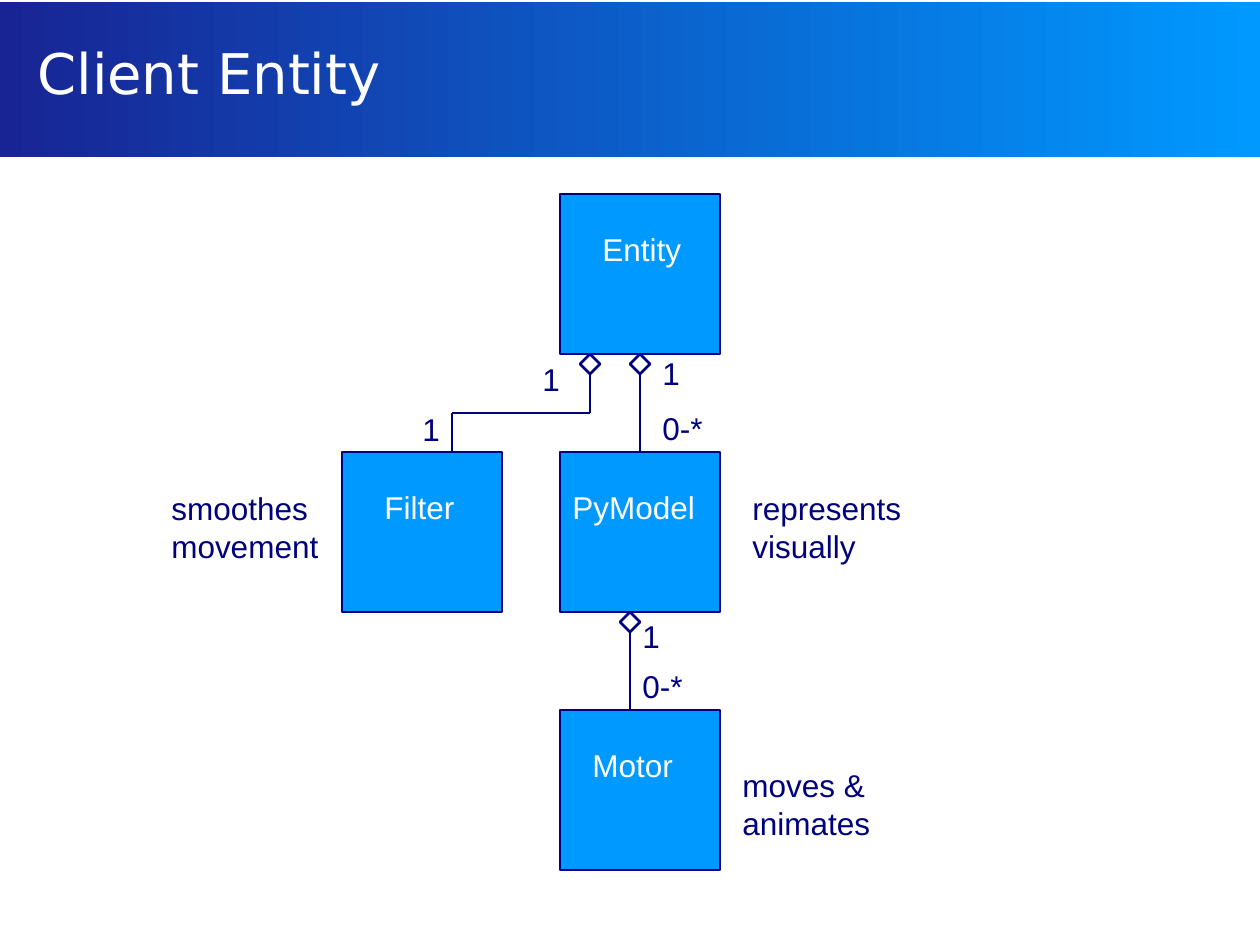
from itertools import pairwise

from lxml.etree import SubElement
from pptx import Presentation
from pptx.dml.color import RGBColor
from pptx.enum.shapes import MSO_CONNECTOR as Connector, MSO_SHAPE as Shape
from pptx.enum.text import MSO_ANCHOR as Anchor, MSO_AUTO_SIZE as AutoSize
from pptx.oxml.ns import qn
from pptx.util import Emu, Pt

EMU_PER_PX = 914400 / 126
BOX_SIZE = 160
DIAMOND_SIZE = 20
COLORS = {
    "white": "FFFFFF",
    "box": "0099FF",
    "band_dark": "182494",
    "line": "000080",
    "label": "00007D",
}


def px(length):
    return Emu(round(length * EMU_PER_PX))


def color(name):
    return RGBColor.from_string(COLORS[name])


def add_band(page):
    band = page.shapes.add_shape(Shape.RECTANGLE, px(0), px(2), px(1260), px(155))
    band.shadow.inherit = False
    band.line.fill.background()
    band.fill.gradient()
    band.fill.gradient_angle = 0
    for stop, name in zip(band.fill.gradient_stops, ("band_dark", "box")):
        stop.color.rgb = color(name)


def add_text(page, text, left, top, width, height, ink="label", size=18, font="Arial"):
    box = page.shapes.add_textbox(px(left), px(top), px(width), px(height))
    frame = box.text_frame
    frame.word_wrap = True
    frame.text = text
    span = frame.paragraphs[0].runs[0]
    span.font.size = Pt(size)
    span.font.name = font
    span.font.color.rgb = color(ink)
    return frame


def add_title(page, text):
    frame = add_text(page, text, 25, 0, 1206, 145, "white", 32, "DejaVu Sans")
    frame.vertical_anchor = Anchor.MIDDLE
    frame.margin_top = px(5)


def add_label(page, text, left, top, width, height=50, ink="label"):
    frame = add_text(page, text, left, top, width, height, ink)
    frame.auto_size = AutoSize.SHAPE_TO_FIT_TEXT


def add_outline(page, kind, left, top, size, weight):
    shape = page.shapes.add_shape(kind, px(left), px(top), px(size), px(size))
    shape.shadow.inherit = False
    shape.line.color.rgb = color("line")
    shape.line.width = Pt(weight)
    return shape


def add_class_box(page, name, left, top, indent):
    box = add_outline(page, Shape.RECTANGLE, left, top, BOX_SIZE, 0.75)
    box.fill.solid()
    box.fill.fore_color.rgb = color("box")
    add_label(page, name, left + indent, top + 30, 169, ink="white")
    return box


def add_diamond(page, center, top):
    diamond = add_outline(
        page, Shape.DIAMOND, center - DIAMOND_SIZE // 2, top, DIAMOND_SIZE, 1.5
    )
    diamond.fill.background()
    return diamond


def add_path(page, *points):
    lines = []
    for start, end in pairwise(points):
        line = page.shapes.add_connector(
            Connector.STRAIGHT, *(px(value) for value in start + end)
        )
        line.line.color.rgb = color("line")
        line.line.width = Pt(1.5)
        SubElement(line._element.spPr, qn("a:effectLst"))
        lines.append(line)
    return lines


def main():
    """Build the client entity class diagram."""
    deck = Presentation()
    deck.slide_width, deck.slide_height = px(1260), px(945)
    page = deck.slides.add_slide(deck.slide_layouts[6])

    add_band(page)
    add_title(page, "Client Entity")

    left_column, main_column = 342, 560
    first_row, second_row, third_row = (194 + 258 * row for row in range(3))
    add_class_box(page, "Entity", main_column, first_row, 30)
    model = add_class_box(page, "PyModel", main_column, second_row, 0)
    add_class_box(page, "Filter", left_column, second_row, 30)
    add_class_box(page, "Motor", main_column, third_row, 20)

    entity_bottom = first_row + BOX_SIZE
    model_bottom = second_row + BOX_SIZE
    add_diamond(page, 590, entity_bottom)
    add_diamond(page, 640, entity_bottom)
    add_diamond(page, 630, model_bottom)

    entity_start = entity_bottom + DIAMOND_SIZE
    [model_line] = add_path(page, (640, entity_start), (640, second_row))
    model_line.end_connect(model, 0)
    add_path(page, (590, entity_start), (590, 413), (452, 413), (452, second_row))
    add_path(page, (630, model_bottom + DIAMOND_SIZE), (630, third_row))

    for text, left, top, width in (
        ("represents visually", 740, 483, 208),
        ("smoothes movement", 159, 483, 179),
        ("moves & animates", 730, 760, 238),
    ):
        add_label(page, text, left, top, width, 88)

    for text, left, top in (
        ("1", 530, 354),
        ("1", 410, 404),
        ("1", 650, 348),
        ("0-*", 650, 403),
        ("1", 630, 611),
        ("0-*", 630, 661),
    ):
        add_label(page, text, left, top, 110)

    deck.save("out.pptx")


if __name__ == "__main__":
    main()
